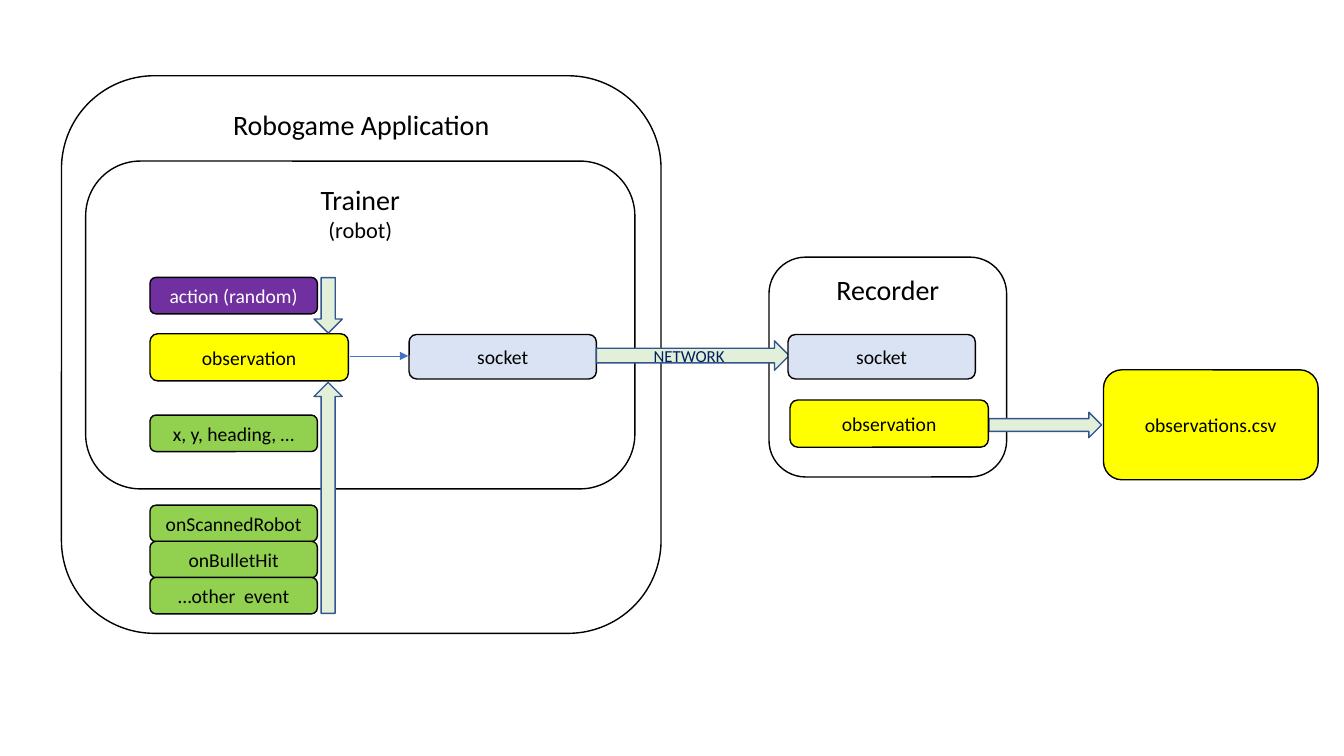
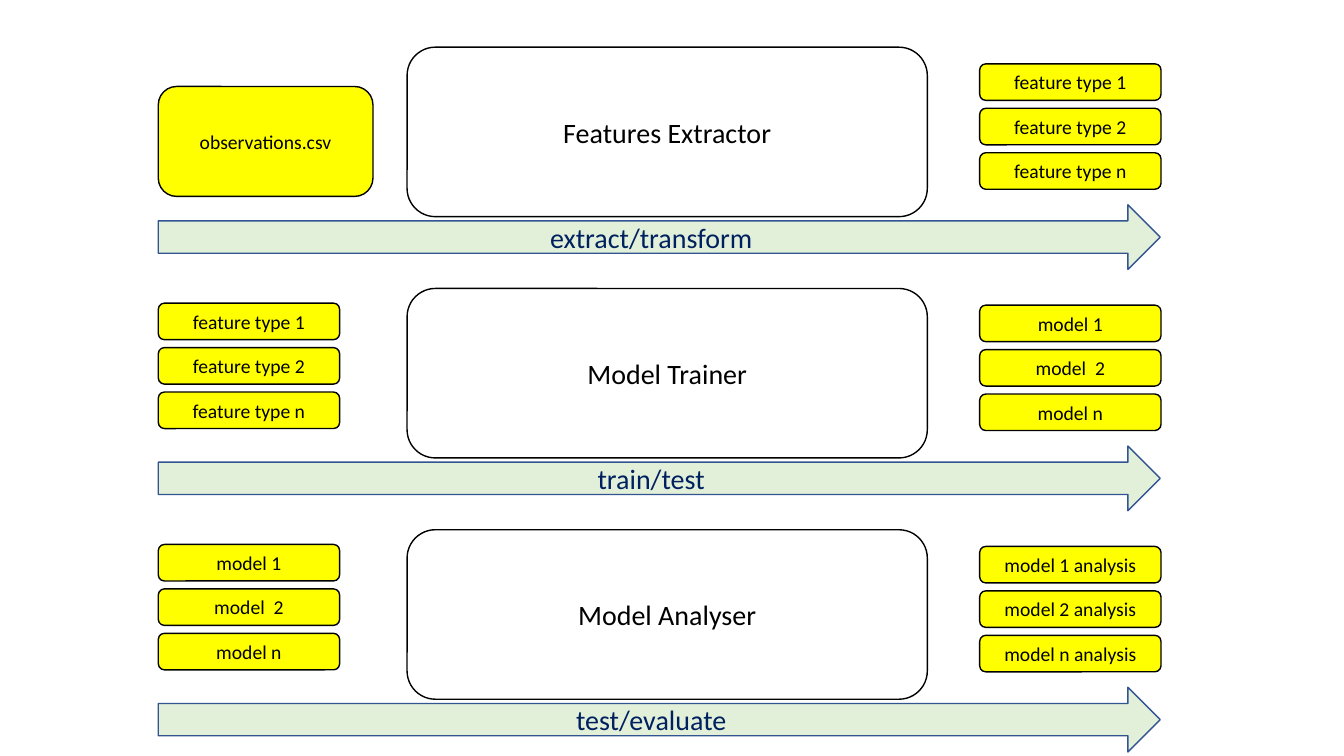
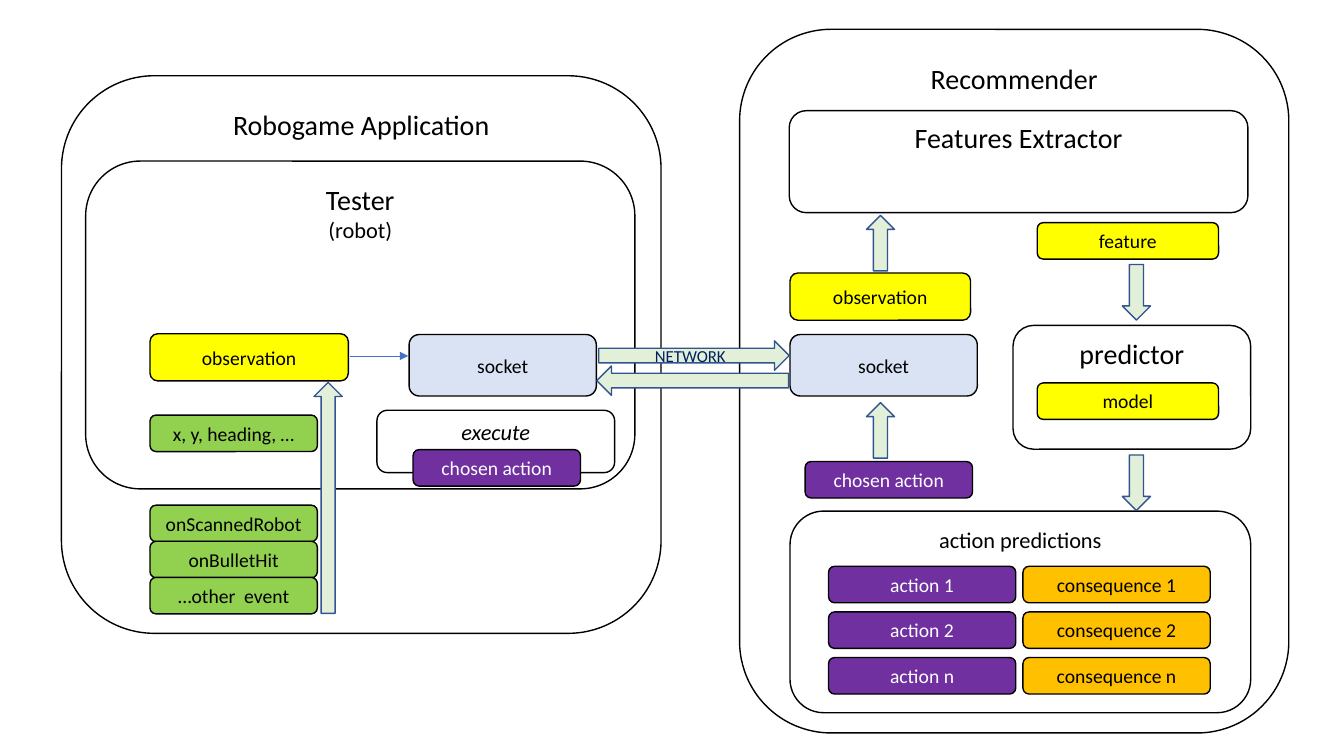
from dataclasses import dataclass
from lxml.etree import SubElement
from pptx import Presentation
from pptx.dml.color import RGBColor
from pptx.enum.shapes import MSO_CONNECTOR, MSO_SHAPE
from pptx.enum.text import MSO_ANCHOR, PP_ALIGN
from pptx.oxml.ns import qn
from pptx.util import Cm, Pt


@dataclass(frozen=True)
class Theme:
    font: str = "Calibri"
    black: str = "000000"
    white: str = "FFFFFF"
    navy: str = "002060"
    outline: str = "325491"
    link: str = "4472C4"
    yellow: str = "FFFF00"
    green: str = "92D050"
    purple: str = "7030A0"
    orange: str = "FFC000"
    pale_blue: str = "DAE3F3"
    pale_green: str = "E2F0D9"
    heading: int = 20
    subheading: int = 16
    label: int = 14
    caption: int = 12
    line: float = 1
    thin_line: float = 0.5


theme = Theme()


def add_box(page, frame, text, fill=theme.white, size=theme.label, ink=theme.black,
            anchor=MSO_ANCHOR.MIDDLE, italic=False, subtitle=None,
            kind=MSO_SHAPE.ROUNDED_RECTANGLE, outline=theme.black):
    box = page.shapes.add_shape(kind, *map(Cm, frame))
    box.shadow.inherit = False
    box.fill.solid()
    box.fill.fore_color.rgb = RGBColor.from_string(fill)
    box.line.color.rgb = RGBColor.from_string(outline)
    box.line.width = Pt(theme.line)
    box.text_frame.word_wrap = True
    box.text_frame.vertical_anchor = anchor
    lines = [(text, size)] if text else []
    if subtitle:
        lines.append((subtitle, theme.subheading))
    for index, (words, points) in enumerate(lines):
        para = box.text_frame.add_paragraph() if index else box.text_frame.paragraphs[0]
        para.alignment = PP_ALIGN.CENTER
        span = para.add_run()
        span.text = words
        span.font.color.rgb = RGBColor.from_string(ink)
        font_format = {"name": theme.font, "size": Pt(points), "italic": italic}
        for name, value in font_format.items():
            setattr(span.font, name, value)
    return box


def add_arrow(page, frame, text="", size=theme.caption, rotation=0):
    arrow = add_box(page, frame, text, theme.pale_green, size, theme.navy,
                    kind=MSO_SHAPE.RIGHT_ARROW, outline=theme.outline)
    arrow.rotation = rotation


container = {"size": theme.heading, "anchor": MSO_ANCHOR.TOP}
stage = {"size": theme.heading}
data = {"fill": theme.yellow}
event = {"fill": theme.green}
socket = {"fill": theme.pale_blue}
action = {"fill": theme.purple, "ink": theme.white}
consequence = {"fill": theme.orange}

item_height = 0.92
tag_size = (4.22, item_height)
item_size = (4.57, item_height)
pair_size = (4.72, item_height)
observation_size = (5, 1.19)
file_size = (5.41, 2.77)
short_arrow_size = (1.4, 0.71)
up, down, back = 270, 90, 180

deck = Presentation()
deck.slide_width, deck.slide_height = Cm(33.87), Cm(19.05)
blank = deck.slide_layouts[6]
recording, training, testing = (deck.slides.add_slide(blank) for _ in range(3))

for page, robot, socket_height in ((recording, "Trainer", 1.12), (testing, "Tester", 1.55)):
    add_box(page, (1.55, 1.91, 15.11, 14.05), "Robogame Application", **container)
    add_box(page, (2.16, 4.06, 13.84, 8.26), robot, subtitle="(robot)", **container)
    for row, name in enumerate(("onScannedRobot", "onBulletHit", "…other  event")):
        add_box(page, (3.78, 12.73 + row * 0.91, *tag_size), name, **event)
    add_arrow(page, (5.36, 12.19, 5.82, 0.71), rotation=up)
    add_box(page, (3.78, 10.46, *tag_size), "x, y, heading, …", **event)
    link = page.shapes.add_connector(MSO_CONNECTOR.STRAIGHT, Cm(8.81), Cm(8.97), Cm(10.29), Cm(8.97))
    link.line.color.rgb = RGBColor.from_string(theme.link)
    link.line.width = Pt(theme.thin_line)
    SubElement(link.line._get_or_add_ln(), qn("a:tailEnd"), type="triangle")
    SubElement(link._element.spPr, qn("a:effectLst"))
    add_box(page, (3.78, 8.41, *observation_size), "observation", **data)
    add_box(page, (10.31, 8.43, 4.72, socket_height), "socket", **socket)

add_box(recording, (3.78, 6.99, *tag_size), "action (random)", **action)
add_arrow(recording, (7.57, 7.34, *short_arrow_size), rotation=down)
add_box(recording, (19.38, 6.48, 5.99, 5.54), "Recorder", **container)
add_arrow(recording, (15.03, 8.59, 4.86, 0.74), "NETWORK")
add_box(recording, (19.86, 8.43, 4.72, 1.12), "socket", **socket)
add_arrow(recording, (24.92, 10.39, 2.84, 0.64))
add_box(recording, (19.91, 10.08, *observation_size), "observation", **data)
add_box(recording, (27.81, 9.32, *file_size), "observations.csv", **data)

features = ("feature type 1", "feature type 2", "feature type n")
models = ("model 1", "model  2", "model n")
analyses = ("model 1 analysis", "model 2 analysis", "model n analysis")
stages = (
    ("Features Extractor", "extract/transform", (), features),
    ("Model Trainer", "train/test", features, models),
    ("Model Analyser", "test/evaluate", models, analyses),
)
add_box(training, (3.99, 2.18, *file_size), "observations.csv", **data)
for row, (name, step, inputs, outputs) in enumerate(stages):
    top = 1.19 + row * 6.08
    add_box(training, (10.26, top, 13.11, 4.27), name, **stage)
    for left, offset, items in ((3.99, 0.37, inputs), (24.69, 0.42, outputs)):
        for index, item in enumerate(items):
            add_box(training, (left, top + offset + index * 1.12, *item_size), item, **data)
    add_arrow(training, (3.99, top + 3.97, 25.25, 1.63), step, theme.heading)

add_box(testing, (18.64, 0.74, 13.84, 17.73), "Recommender", **container)
add_box(testing, (19.89, 2.79, 11.56, 2.57), "Features Extractor", **container)
add_box(testing, (26.14, 5.61, *item_size), "feature", **data)
add_box(testing, (25.53, 8.2, 5.99, 3.12), "predictor", **container)
add_box(testing, (26.14, 9.65, *item_size), "model", **data)
add_box(testing, (19.91, 6.88, 4.55, 1.19), "observation", **data)
add_box(testing, (19.91, 8.43, 4.72, 1.55), "socket", **socket)
add_arrow(testing, (15.09, 8.59, 4.8, 0.74), "NETWORK")
add_arrow(testing, (15.04, 9.22, 4.83, 0.74), rotation=back)
add_box(testing, (20.29, 11.63, *tag_size), "chosen action", **action)

small_container = {**container, "size": theme.subheading}
add_box(testing, (9.5, 10.34, 5.99, 1.57), "execute", italic=True, **small_container)
add_box(testing, (10.41, 11.33, *tag_size), "chosen action", **action)
add_box(testing, (19.91, 12.88, 11.61, 5.08), "action predictions", **small_container)
for row, suffix in enumerate("12n"):
    top = 14.27 + row * 1.15
    add_box(testing, (20.88, top, *pair_size), f"action {suffix}", **action)
    add_box(testing, (25.78, top, *pair_size), f"consequence {suffix}", **consequence)

for left, top, rotation in ((21.49, 5.77, up), (27.94, 7.01, down),
                            (27.94, 11.81, down), (21.49, 10.49, up)):
    add_arrow(testing, (left, top, *short_arrow_size), rotation=rotation)

deck.save("out.pptx")
